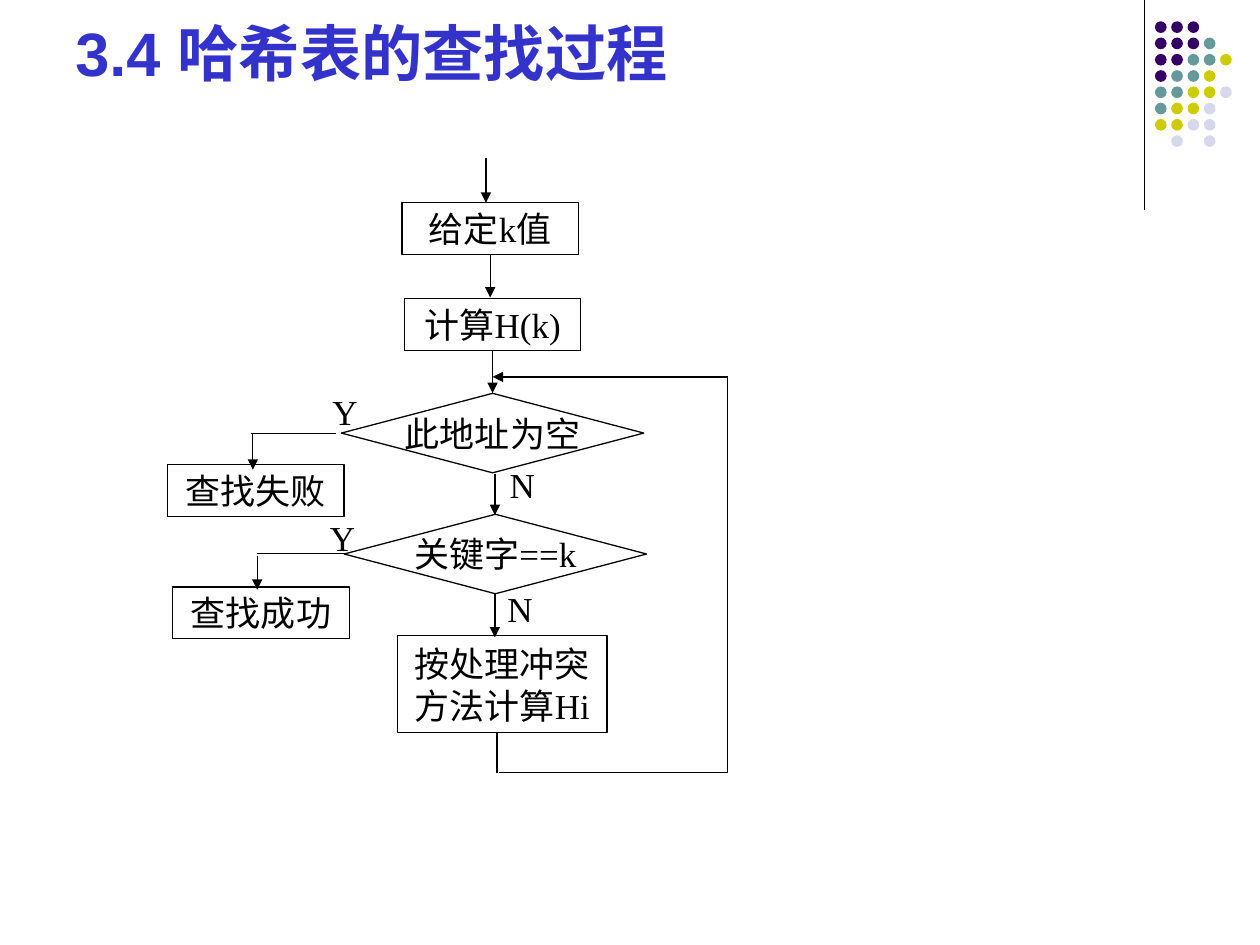
from dataclasses import dataclass

import pptx
import pptx.dml.color
import pptx.enum.shapes
import pptx.enum.text
import pptx.oxml
import pptx.oxml.ns
import pptx.shapes.shapetree
import pptx.util

Pt = pptx.util.Pt
RGBColor = pptx.dml.color.RGBColor
Shape = pptx.enum.shapes.MSO_SHAPE
Align = pptx.enum.text.PP_ALIGN
Anchor = pptx.enum.text.MSO_ANCHOR

BLACK = RGBColor(0x00, 0x00, 0x00)
TITLE_BLUE = RGBColor(0x33, 0x33, 0xCC)
PURPLE = RGBColor(0x33, 0x00, 0x66)
TEAL = RGBColor(0x66, 0x99, 0x99)
YELLOW = RGBColor(0xCC, 0xCC, 0x00)
LAVENDER = RGBColor(0xD8, 0xD8, 0xEC)

TITLE_FONT = {"name": "Arial", "size": Pt(35), "bold": True}
FLOW_FONT = {"name": "Times New Roman", "size": Pt(20), "bold": False}
LINE_WIDTH = 0.75

DOT_ROWS = ["PPP", "PPPT", "PPTTY", "PTTY", "TTYYL", "TYYL", "YYLL", " L L"]
DOT_COLORS = {"P": PURPLE, "T": TEAL, "Y": YELLOW, "L": LAVENDER}
DOT_LEFT, DOT_TOP, DOT_SIZE, DOT_PITCH = 660, 12.2, 6.7, 9.3

STEP_SIZE = (100.8, 29.5)
DECISION_SIZE = (172.8, 45.4)
LABEL_SIZE = (28.8, 31.7)


@dataclass
class Node:
    lines: list[str]
    left: float
    top: float
    size: tuple[float, float] = STEP_SIZE
    kind: Shape = Shape.FLOWCHART_PROCESS


@dataclass
class Link:
    x1: float
    y1: float
    x2: float
    y2: float
    arrow: bool = False


@dataclass
class Label:
    text: str
    left: float
    top: float


NODES = [
    Node(["给定k值"], 229.7, 115.9),
    Node(["计算H(k)"], 231.1, 170.6),
    Node(["此地址为空"], 195.1, 224.8, DECISION_SIZE, Shape.FLOWCHART_DECISION),
    Node(["关键字==k"], 196.7, 293.9, DECISION_SIZE, Shape.FLOWCHART_DECISION),
    Node(["查找失败"], 95.8, 265.6),
    Node(["查找成功"], 98.8, 335.5),
    Node(["按处理冲突", "方法计算Hi"], 227.3, 363.2, (119.5, 55.4)),
]

LINKS = [
    Link(277.7, 90, 277.7, 115.9, True),
    Link(280.1, 145.4, 280.1, 170, True),
    Link(281.5, 200.2, 281.5, 224.6, True),
    Link(282.8, 270.7, 282.8, 294.3, True),
    Link(282.8, 339.4, 282.8, 364.3, True),
    Link(192.2, 247.7, 143.2, 247.7),
    Link(144.5, 247.7, 144.5, 268.4, True),
    Link(198, 316.3, 147, 316.3),
    Link(147, 317.5, 147, 337, True),
    Link(284, 418.5, 284, 441.5),
    Link(285.2, 441.5, 415.8, 441.5),
    Link(415.8, 441.5, 415.8, 215.4),
    Link(415.8, 215.4, 281.5, 215.4, True),
]

LABELS = [
    Label("Y", 182.9, 219.6),
    Label("N", 284.2, 261.4),
    Label("Y", 181.4, 291.8),
    Label("N", 282.8, 331.9),
]


def write_text(
    frame: pptx.text.text.TextFrame,
    lines: list[str],
    font_format: dict,
    color: RGBColor,
    align: Align = Align.LEFT,
    anchor: Anchor = Anchor.TOP,
    wrap: bool = False,
) -> None:
    frame.word_wrap = wrap
    frame.vertical_anchor = anchor
    for index, line in enumerate(lines):
        paragraph = frame.paragraphs[0] if index == 0 else frame.add_paragraph()
        paragraph.alignment = align
        run = paragraph.add_run()
        run.text = line
        for attribute, value in font_format.items():
            setattr(run.font, attribute, value)
        run.font.color.rgb = color


def draw_link(shapes: pptx.shapes.shapetree.SlideShapes, link: Link) -> None:
    connector = shapes.add_connector(
        pptx.enum.shapes.MSO_CONNECTOR.STRAIGHT,
        Pt(link.x1), Pt(link.y1), Pt(link.x2), Pt(link.y2),
    )
    connector.line.color.rgb = BLACK
    connector.line.width = Pt(LINE_WIDTH)
    if link.arrow:
        namespace = pptx.oxml.ns.nsdecls("a")
        head = pptx.oxml.parse_xml(f'<a:tailEnd {namespace} type="triangle"/>')
        connector.line._get_or_add_ln().append(head)
    properties = connector._element.spPr
    properties.append(properties.makeelement(pptx.oxml.ns.qn("a:effectLst"), {}))


def draw_node(shapes: pptx.shapes.shapetree.GroupShapes, node: Node) -> None:
    box = shapes.add_shape(node.kind, Pt(node.left), Pt(node.top), *map(Pt, node.size))
    box.shadow.inherit = False
    box.fill.background()
    box.line.color.rgb = BLACK
    box.line.width = Pt(LINE_WIDTH)
    write_text(box.text_frame, node.lines, FLOW_FONT, BLACK, Align.CENTER, Anchor.MIDDLE)


def draw_label(shapes: pptx.shapes.shapetree.GroupShapes, label: Label) -> None:
    box = shapes.add_textbox(Pt(label.left), Pt(label.top), *map(Pt, LABEL_SIZE))
    write_text(box.text_frame, [label.text], FLOW_FONT, BLACK)


def draw_dots(shapes: pptx.shapes.shapetree.GroupShapes) -> None:
    for row, codes in enumerate(DOT_ROWS):
        for column, code in enumerate(codes):
            if code not in DOT_COLORS:
                continue
            dot = shapes.add_shape(
                Shape.OVAL,
                Pt(DOT_LEFT + column * DOT_PITCH), Pt(DOT_TOP + row * DOT_PITCH),
                Pt(DOT_SIZE), Pt(DOT_SIZE),
            )
            dot.shadow.inherit = False
            dot.fill.solid()
            dot.fill.fore_color.rgb = DOT_COLORS[code]
            dot.line.fill.background()


def main() -> None:
    presentation = pptx.Presentation()
    presentation.slide_width, presentation.slide_height = Pt(720), Pt(540)
    slide = presentation.slides.add_slide(presentation.slide_layouts[6])

    draw_link(slide.shapes, Link(654, 0, 654, 120))
    draw_dots(slide.shapes.add_group_shape().shapes)

    title = slide.shapes.add_textbox(Pt(36), Pt(9.4), Pt(606), Pt(44.6))
    write_text(title.text_frame, ["3.4 哈希表的查找过程"], TITLE_FONT, TITLE_BLUE,
               anchor=Anchor.BOTTOM, wrap=True)

    flowchart = slide.shapes.add_group_shape().shapes
    for node in NODES:
        draw_node(flowchart, node)
    for link in LINKS:
        draw_link(flowchart, link)
    for label in LABELS:
        draw_label(flowchart, label)

    presentation.save("out.pptx")


if __name__ == "__main__":
    main()
